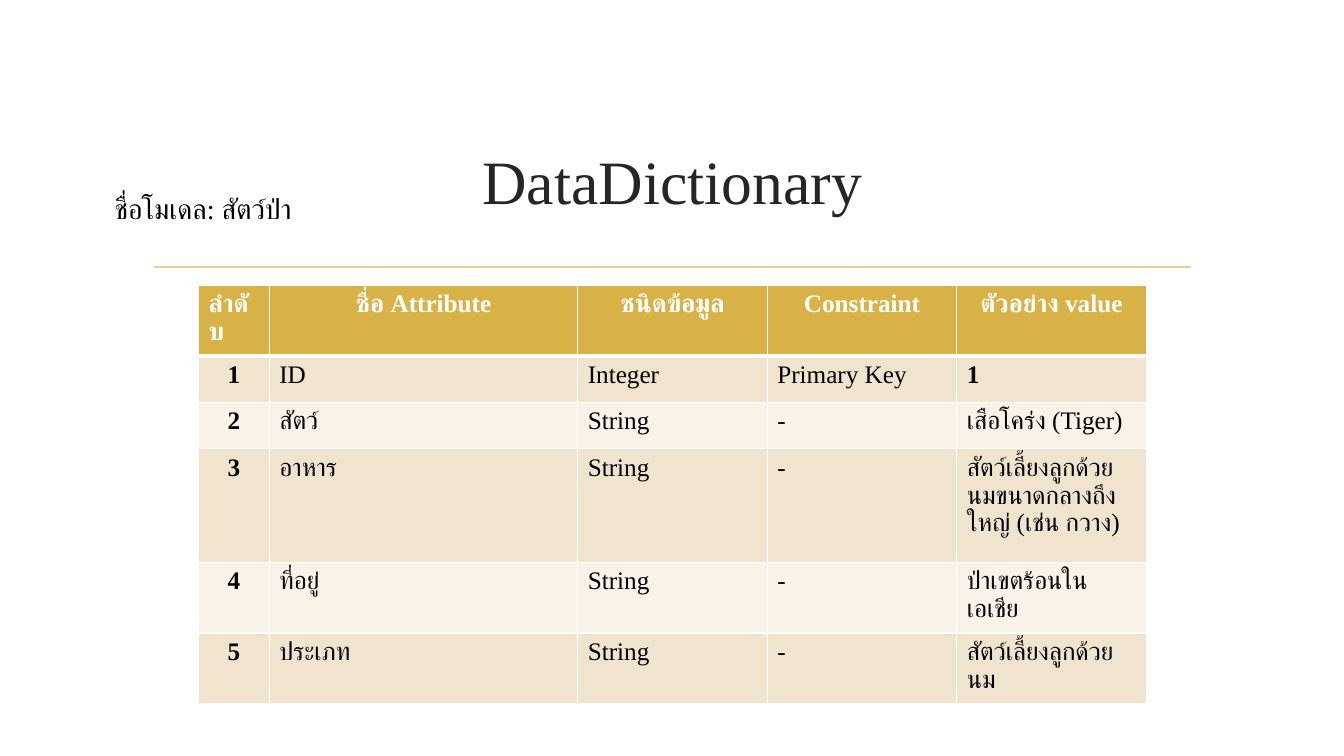
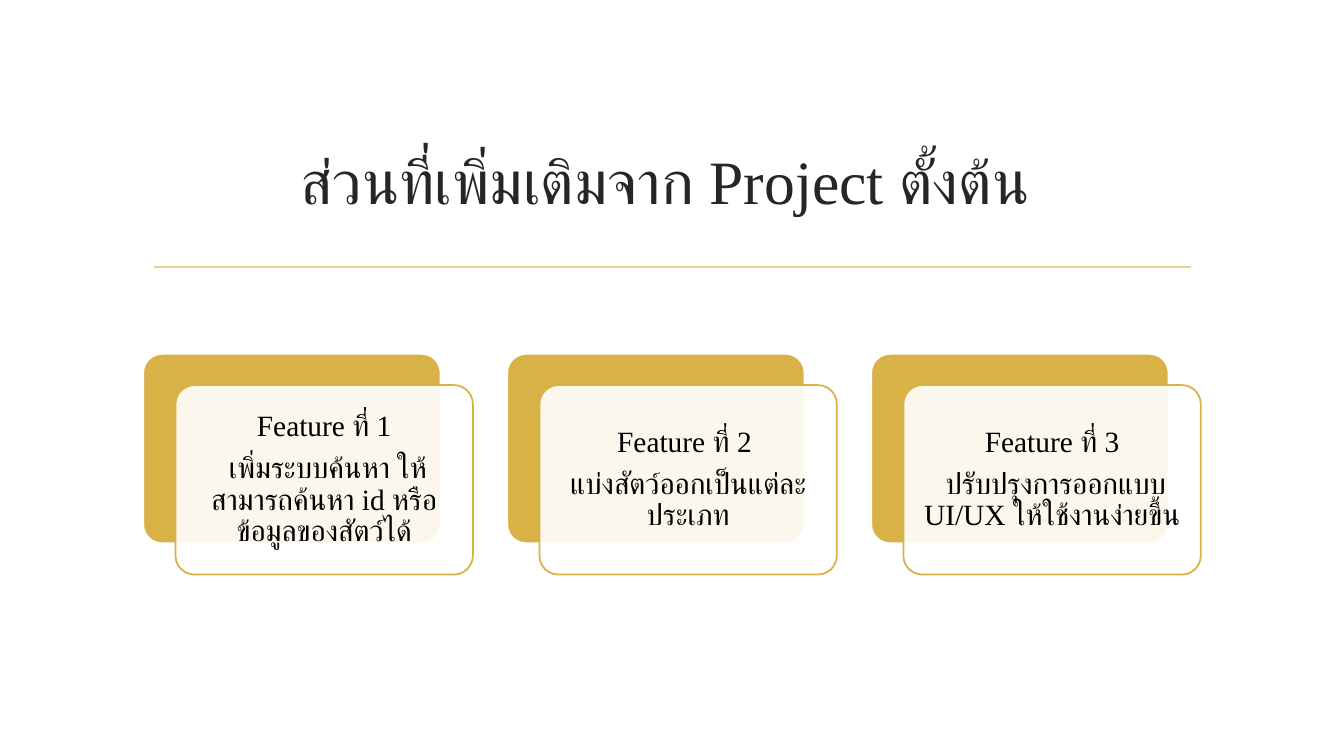
"""Build two slides on a wildlife data model and its added features."""
from lxml.etree import SubElement
from pptx import Presentation
from pptx.dml.color import RGBColor
from pptx.enum.lang import MSO_LANGUAGE_ID
from pptx.enum.shapes import MSO_CONNECTOR, MSO_SHAPE
from pptx.enum.text import MSO_ANCHOR, MSO_AUTO_SIZE, PP_ALIGN
from pptx.oxml import parse_xml
from pptx.oxml.ns import nsdecls, qn
from pptx.util import Emu, Pt

FONT = "Times New Roman"
WHITE = RGBColor(0xFF, 0xFF, 0xFF)
BLACK = RGBColor(0x00, 0x00, 0x00)
INK = RGBColor(0x26, 0x26, 0x26)
GOLD = RGBColor(0xD9, 0xB2, 0x47)
PALE_GOLD = RGBColor(0xE8, 0xD1, 0x91)
BAND_DARK = RGBColor(0xF1, 0xE4, 0xCF)
BAND_LIGHT = RGBColor(0xF8, 0xF2, 0xE9)

COLUMNS = [70, 306, 188, 188, 188]
HEIGHTS = [46, 46, 46, 113, 46, 46]
ROWS = [
    ["ลำดับ", "ชื่อ Attribute", "ชนิดข้อมูล", "Constraint", "ตัวอย่าง value"],
    ["1", "ID", "Integer", "Primary Key", "1"],
    ["2", "สัตว์", "String", "-", "เสือโคร่ง (Tiger)"],
    ["3", "อาหาร", "String", "-", "สัตว์เลี้ยงลูกด้วยนมขนาดกลางถึงใหญ่ (เช่น กวาง)"],
    ["4", "ที่อยู่", "String", "-", "ป่าเขตร้อนในเอเชีย"],
    ["5", "ประเภท", "String", "-", "สัตว์เลี้ยงลูกด้วยนม"],
]
FEATURES = [
    ("Feature ที่ 1", " เพิ่มระบบค้นหา ให้สามารถค้นหา id หรือ ข้อมูลของสัตว์ได้"),
    ("Feature ที่ 2 ", "แบ่งสัตว์ออกเป็นแต่ละประเภท"),
    ("Feature ที่ 3", " ปรับปรุงการออกแบบ UI/UX ให้ใช้งานง่ายขึ้น"),
]


def px(n):
    """Turn hundredths of an inch into EMU."""
    return Emu(n * 9144)


class Deck:
    """Hold the style and the current slide."""

    def __init__(self):
        """Start an empty wide presentation."""
        self.prs = Presentation()
        self.prs.slide_width, self.prs.slide_height = px(1333), px(750)
        self.s = None

    def run(self, p, text, size, color=BLACK, bold=False):
        """Add one run, with its font set for Latin and Thai text."""
        r = p.add_run()
        r.text = text
        r.font.name = FONT
        r.font.size = Pt(size)
        r.font.bold = bold
        r.font.color.rgb = color
        r.font.language_id = MSO_LANGUAGE_ID.THAI
        SubElement(r.font._element, qn("a:cs")).set("typeface", FONT)

    def slide(self, title):
        """Add a slide with its title and the rule below it."""
        self.s = self.prs.slides.add_slide(self.prs.slide_layouts[5])
        sp = self.s.shapes.title
        sp.left, sp.top, sp.width, sp.height = map(px, (142, 107, 1050, 143))
        tf = sp.text_frame
        tf.word_wrap = True
        tf.auto_size = MSO_AUTO_SIZE.NONE
        tf.vertical_anchor = MSO_ANCHOR.MIDDLE
        p = tf.paragraphs[0]
        p.alignment = PP_ALIGN.CENTER
        self.run(p, title, 44, INK)
        self.rule(153, 1181, 265)

    def rule(self, left, right, y):
        """Draw a thin horizontal line."""
        line = self.s.shapes.add_connector(
            MSO_CONNECTOR.STRAIGHT, px(left), px(y), px(right), px(y))
        line.line.color.rgb = PALE_GOLD
        line.line.width = Pt(1.25)
        SubElement(line._element.spPr, qn("a:effectLst"))

    def label(self, x, y, w, h, text):
        """Add a line of plain text."""
        tf = self.s.shapes.add_textbox(px(x), px(y), px(w), px(h)).text_frame
        tf.word_wrap = True
        self.run(tf.paragraphs[0], text, 20)

    def borders(self, cell, bottom):
        """Give a cell white borders."""
        tc_pr = cell._tc.get_or_add_tcPr()
        widths = {"lnL": 1, "lnR": 1, "lnT": 1, "lnB": bottom}
        for i, (side, width) in enumerate(widths.items()):
            tc_pr.insert(i, parse_xml(
                f'<a:{side} {nsdecls("a")} w="{Pt(width)}"><a:solidFill>'
                f'<a:srgbClr val="{WHITE}"/></a:solidFill></a:{side}>'))

    def table(self, x, y, columns, heights, rows):
        """Add a banded table with a gold header."""
        table = self.s.shapes.add_table(
            len(rows), len(columns), px(x), px(y),
            px(sum(columns)), px(sum(heights))).table
        for column, width in zip(table.columns, columns):
            column.width = px(width)
        for i, (row, height) in enumerate(zip(rows, heights)):
            table.rows[i].height = px(height)
            header = i == 0
            fill = GOLD if header else BAND_DARK if i % 2 else BAND_LIGHT
            for j, text in enumerate(row):
                cell = table.cell(i, j)
                cell.fill.solid()
                cell.fill.fore_color.rgb = fill
                p = cell.text_frame.paragraphs[0]
                if header != (j == 0):
                    p.alignment = PP_ALIGN.CENTER
                self.run(p, text, 18, WHITE if header else BLACK,
                         header or text.isdigit())
                self.borders(cell, 3 if (i == 0) else 1)

    def panel(self, x, y, fill, line):
        """Add one rounded panel of a card."""
        sp = self.s.shapes.add_shape(
            MSO_SHAPE.ROUNDED_RECTANGLE, px(x), px(y), px(295), px(188))
        sp.adjustments[0] = 0.1
        sp.shadow.inherit = False
        sp.fill.solid()
        sp.fill.fore_color.rgb = fill
        sp.line.color.rgb = line
        sp.line.width = Pt(1.25)
        return sp

    def card(self, x, y, texts):
        """Add a gold panel with a translucent text panel over it."""
        self.panel(x, y, GOLD, WHITE)
        sp = self.panel(x + 32, y + 31, WHITE, GOLD)
        color = sp._element.spPr.find(qn("a:solidFill"))[0]
        SubElement(color, qn("a:alpha")).set("val", "90000")
        tf = sp.text_frame
        tf.word_wrap = True
        tf.vertical_anchor = MSO_ANCHOR.MIDDLE
        tf.margin_left = tf.margin_right = px(9)
        tf.margin_top = tf.margin_bottom = px(9)
        for i, text in enumerate(texts):
            p = tf.add_paragraph() if i else tf.paragraphs[0]
            p.alignment = PP_ALIGN.CENTER
            p.line_spacing = 0.9
            p.space_after = Pt(7)
            self.run(p, text, 21)


def main():
    """Build and save the slides."""
    deck = Deck()
    deck.slide("DataDictionary")
    deck.label(104, 185, 409, 44, "ชื่อโมเดล: สัตว์ป่า")
    deck.table(197, 283, COLUMNS, HEIGHTS, ROWS)

    deck.slide("ส่วนที่เพิ่มเติมจาก Project ตั้งต้น ")
    for i, texts in enumerate(FEATURES):
        deck.card(142 + 361 * i, 351, texts)
    deck.prs.save("out.pptx")


if __name__ == "__main__":
    main()
